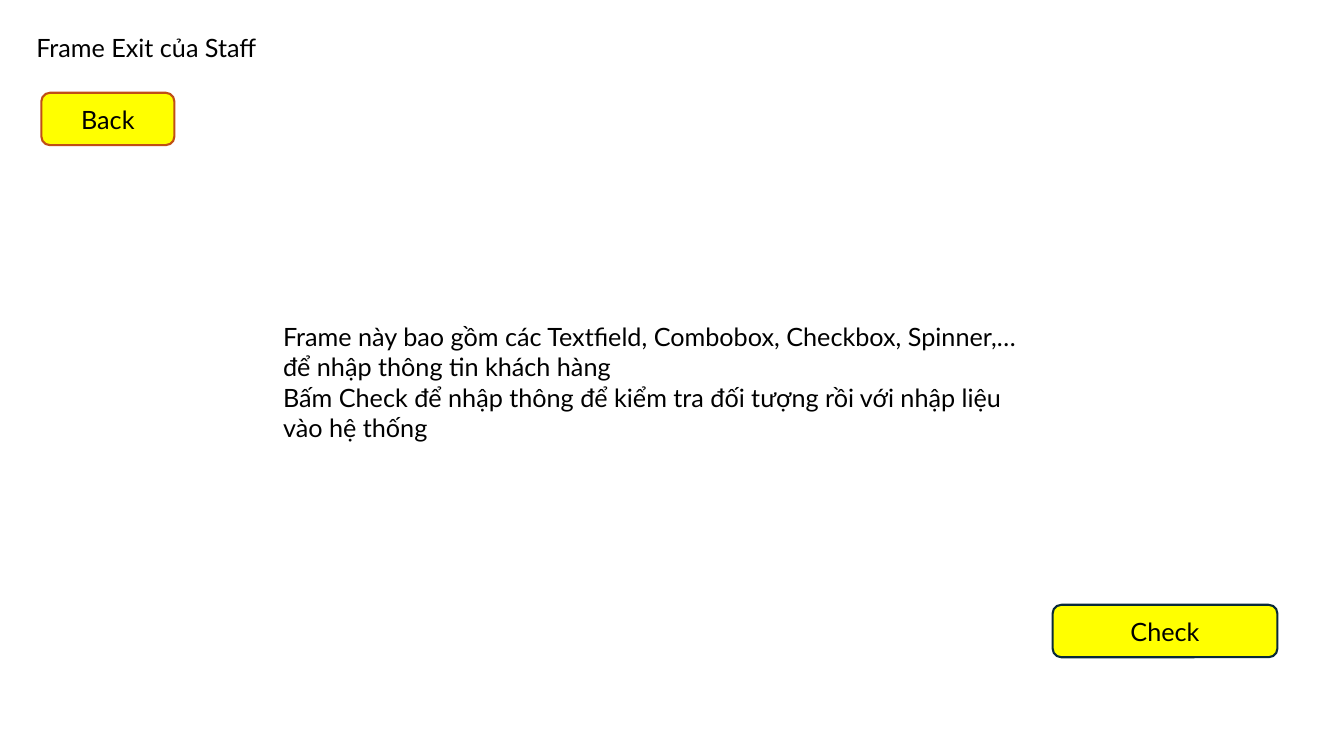
from pptx import Presentation
from pptx.dml.color import RGBColor
from pptx.enum.shapes import MSO_SHAPE
from pptx.enum.text import MSO_ANCHOR, MSO_AUTO_SIZE, PP_ALIGN
from pptx.util import Inches, Pt

SLIDE_SIZE = (13.33, 7.5)
BUTTON_HEIGHT = 0.52

TITLE = ("Frame Exit của Staff", (0.26, 0.27, 4.17, 0.4))
DESCRIPTION = (
    [
        "Frame này bao gồm các Textfield, Combobox, Checkbox, Spinner,… để nhập thông tin khách hàng",
        "Bấm Check để nhập thông để kiểm tra đối tượng rồi với nhập liệu vào hệ thống",
    ],
    (2.71, 3.14, 7.47, 1.31),
)
# label, left, top, width, border colour
BUTTONS = [
    ("Back", 0.41, 0.92, 1.32, "C04F15"),
    ("Check", 10.44, 6, 2.23, "092A39"),
]


def color(hex_code):
    return RGBColor.from_string(hex_code)


def write(frame, lines, align=PP_ALIGN.LEFT, anchor=MSO_ANCHOR.TOP,
          auto_size=MSO_AUTO_SIZE.SHAPE_TO_FIT_TEXT, size=18, font="Lato", ink="000000"):
    frame.word_wrap = True
    frame.auto_size = auto_size
    frame.vertical_anchor = anchor
    frame.text = "\n".join(lines)
    for paragraph in frame.paragraphs:
        paragraph.alignment = align
        for run in paragraph.runs:
            run.font.size = Pt(size)
            run.font.name = font
            run.font.color.rgb = color(ink)


def add_button(slide, label, left, top, width, border):
    button = slide.shapes.add_shape(
        MSO_SHAPE.ROUNDED_RECTANGLE, *map(Inches, (left, top, width, BUTTON_HEIGHT)))
    button.shadow.inherit = False
    button.fill.solid()
    button.fill.fore_color.rgb = color("FFFF00")
    button.line.color.rgb = color(border)
    button.line.width = Pt(1.5)
    write(button.text_frame, [label], align=PP_ALIGN.CENTER,
          anchor=MSO_ANCHOR.MIDDLE, auto_size=MSO_AUTO_SIZE.NONE)


def main():
    deck = Presentation()
    deck.slide_width, deck.slide_height = map(Inches, SLIDE_SIZE)
    slide = deck.slides.add_slide(deck.slide_layouts.get_by_name("Title Only"))

    heading, box = TITLE
    title = slide.shapes.title
    title.left, title.top, title.width, title.height = map(Inches, box)
    write(title.text_frame, [heading])

    for button in BUTTONS:
        add_button(slide, *button)

    lines, box = DESCRIPTION
    description = slide.shapes.add_textbox(*map(Inches, box))
    write(description.text_frame, lines)

    deck.save("out.pptx")


if __name__ == "__main__":
    main()
